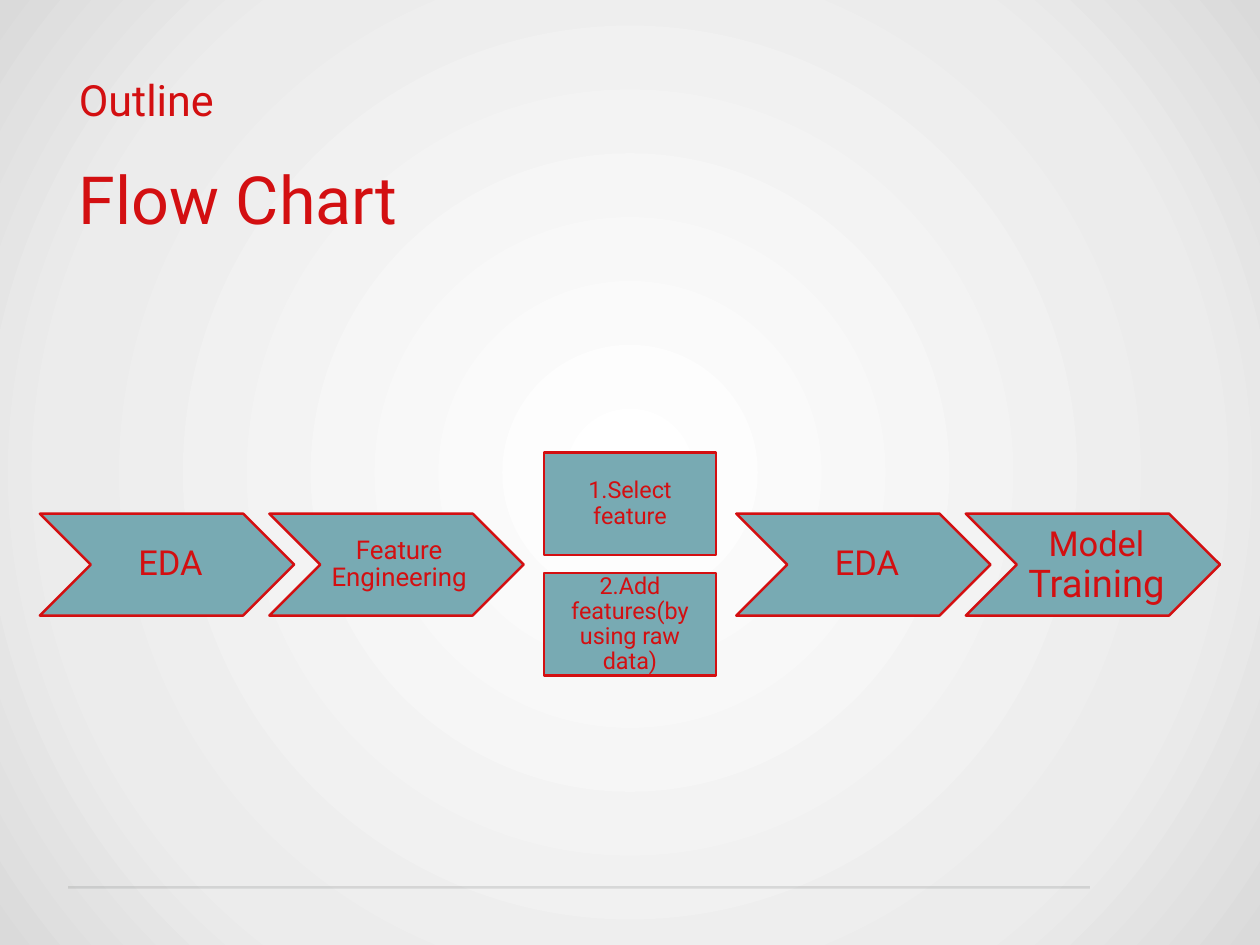
from lxml import etree
from pptx import Presentation
from pptx import util as u
from pptx.dml.color import RGBColor
from pptx.enum import shapes, text
from pptx.oxml import ns, parse_xml

PX = 9144
RED, TEAL, GREY = "D30F11", "78AAB3", "5A5F5E"
NS = "http://schemas.openxmlformats.org/drawingml/2006/main"
STEP_W, STEP_H, STEP_GAP = 287, 115, 259
TASK_W, TASK_H, TASK_GAP = 194, 116, 136


def px(num):
    """Turn whole px, 100 to the inch, into EMU."""
    return u.Emu(num * PX)


def color(code):
    """Turn a hex string into a colour."""
    return RGBColor.from_string(code)


def place(item, box):
    """Move a placeholder to a box."""
    item.left, item.top, item.width, item.height = map(px, box)


def write(frame, runs, pads, align, anchor, space):
    """Write one paragraph of (words, size) runs into a frame."""
    frame.word_wrap = True
    frame.auto_size = text.MSO_AUTO_SIZE.NONE
    frame.vertical_anchor = anchor
    (frame.margin_left, frame.margin_top,
     frame.margin_right, frame.margin_bottom) = map(px, pads)
    para = frame.paragraphs[0]
    para.alignment = align
    para.line_spacing = space
    para.space_before = u.Pt(0)
    for words, size in runs:
        run = para.add_run()
        run.text = words
        run.font.name = "Roboto"
        run.font.size = u.Pt(size)
        run.font.color.rgb = color(RED)
    return para


def paint(slide):
    """Fill the slide with a round grey glow."""
    stops = "".join(
        f'<a:gs pos="{spot * 1000}"><a:srgbClr val="{code}"/></a:gs>'
        for spot, code in ((0, "FFFFFF"), (73, "ECECEC"), (100, "DADADA")))
    glow = parse_xml(
        f'<p:bg {ns.nsdecls("p", "a")}><p:bgPr><a:gradFill rotWithShape="1">'
        f'<a:gsLst>{stops}</a:gsLst><a:path path="circle">'
        '<a:fillToRect l="50000" t="50000" r="50000" b="50000"/></a:path>'
        '</a:gradFill><a:effectLst/></p:bgPr></p:bg>')
    slide.element.cSld.insert(0, glow)


def head(slide, box):
    """Place the title and the subject line below it."""
    left, top, width = box
    title, body = slide.shapes.title, slide.placeholders[1]
    place(title, (left, top, width, 67))
    place(body, (left, top + 90, width, 102))
    for item, words, size, space in ((title, "Outline", 35, 0.9),
                                     (body, "Flow Chart", 54, 1.0)):
        para = write(item.text_frame, [(words, size)], (6, 6, 6, 6),
                     text.PP_ALIGN.LEFT, text.MSO_ANCHOR.TOP, space)
        props = para._p.get_or_add_pPr()
        props.set("marL", "0")
        props.set("indent", "0")
        etree.SubElement(props, f"{{{NS}}}buNone")


def rule(slide, box):
    """Draw the faint line at the foot."""
    left, top, width = box
    line = slide.shapes.add_connector(
        shapes.MSO_CONNECTOR.STRAIGHT,
        px(left), px(top), px(left + width), px(top))
    line.line.width = u.Pt(2)
    line.line.color.rgb = color(GREY)
    tint = line._element.spPr.find(f".//{{{NS}}}srgbClr")
    etree.SubElement(tint, f"{{{NS}}}alpha", val="16000")
    etree.SubElement(line._element.spPr, f"{{{NS}}}effectLst")


def block(slide, kind, box, runs, pads):
    """Draw one teal shape with centred words."""
    item = slide.shapes.add_shape(kind, *map(px, box))
    item.shadow.inherit = False
    item.fill.solid()
    item.fill.fore_color.rgb = color(TEAL)
    item.line.color.rgb = color(RED)
    item.line.width = u.Pt(2)
    write(item.text_frame, runs, pads,
          text.PP_ALIGN.CENTER, text.MSO_ANCHOR.MIDDLE, 0.9)


def steps(slide, box, items):
    """Lay a row of chevrons from a left and top point."""
    left, top = box
    for pos, (runs, pads) in enumerate(items):
        block(slide, shapes.MSO_SHAPE.CHEVRON,
              (left + pos * STEP_GAP, top, STEP_W, STEP_H), runs, pads)


def tasks(slide, box, items):
    """Stack task boxes down from a left and top point."""
    left, top = box
    for pos, words in enumerate(items):
        block(slide, shapes.MSO_SHAPE.RECTANGLE,
              (left, top + pos * TASK_GAP, TASK_W, TASK_H),
              [(words, 19)], (8, 8, 8, 8))


def main():
    """Build and save the flow chart slide."""
    deck = Presentation()
    deck.slide_width, deck.slide_height = px(1422), px(1067)
    slide = deck.slides.add_slide(deck.slide_layouts[1])
    wide, slim = (12, 4, 4, 4), (9, 3, 3, 3)
    paint(slide)
    head(slide, (83, 83, 1254))
    rule(slide, (77, 1002, 1153))
    steps(slide, (45, 580), [([("EDA", 28)], wide),
                             ([("Feature Engineering", 21)], slim)])
    tasks(slide, (614, 511), ["1.Select feature",
                              "2.Add features(by using raw data)"])
    steps(slide, (831, 580), [([("EDA", 28)], wide),
                              ([("Model", 28), (" Training", 31)], wide)])
    deck.save("out.pptx")


if __name__ == "__main__":
    main()
